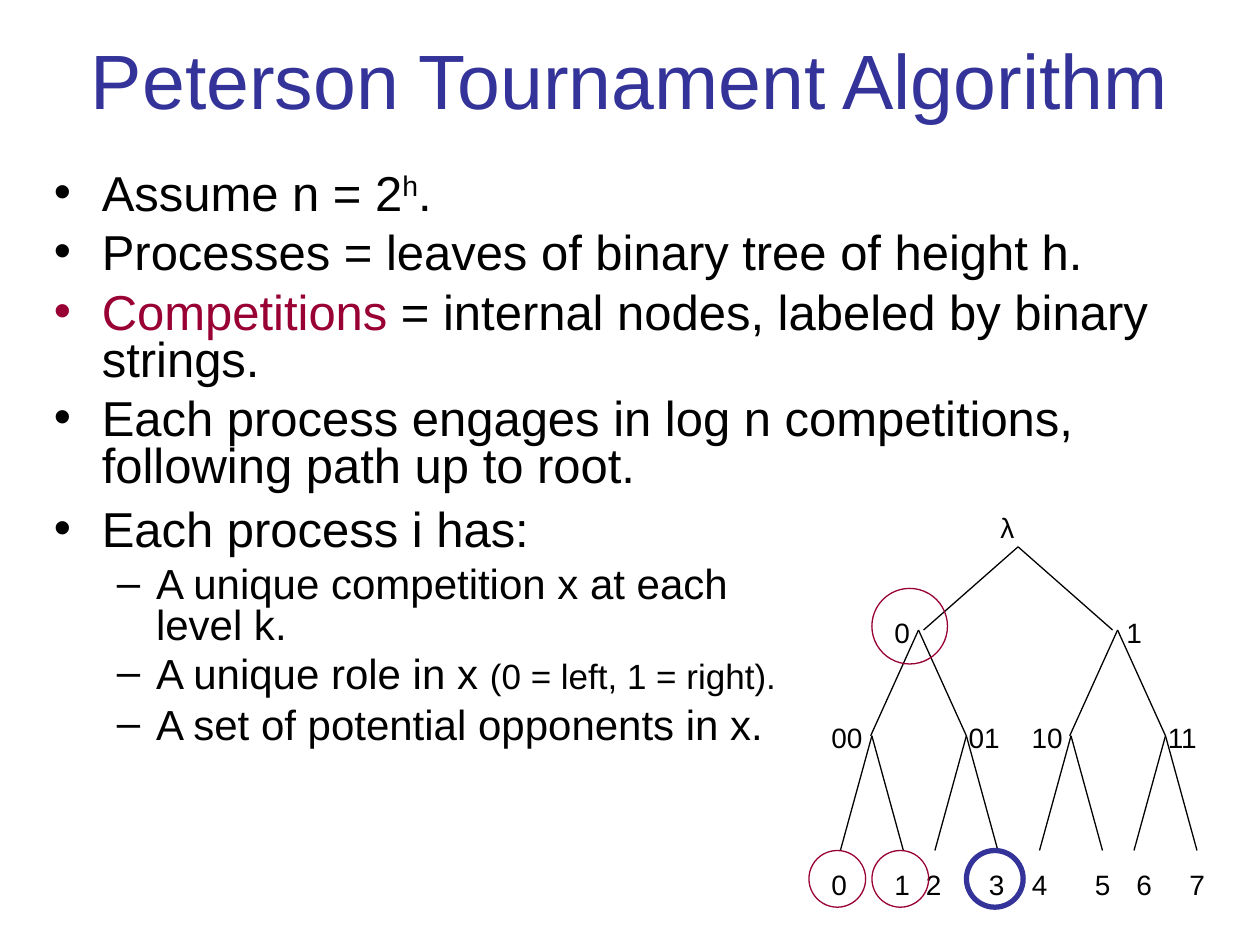
from lxml import etree
from pptx import Presentation
from pptx.dml.color import RGBColor
from pptx.enum.shapes import MSO_CONNECTOR, MSO_SHAPE
from pptx.enum.text import MSO_ANCHOR, MSO_AUTO_SIZE, PP_ALIGN
from pptx.oxml.ns import qn
from pptx.util import Inches, Pt

STRAIGHT = MSO_CONNECTOR.STRAIGHT
OVAL = MSO_SHAPE.OVAL
MIDDLE = MSO_ANCHOR.MIDDLE
CENTER = PP_ALIGN.CENTER
FIT_SHAPE = MSO_AUTO_SIZE.SHAPE_TO_FIT_TEXT

BLACK, BLUE, RED = "000000", "333399", "990033"


def color(hex_string):
    return RGBColor.from_string(hex_string)


def add_run(paragraph, text, size, hex_string=BLACK):
    run = paragraph.add_run()
    run.text = text
    run.font.size = Pt(size)
    run.font.name = "Arial"
    run.font.color.rgb = color(hex_string)
    return run


prs = Presentation()
prs.slide_width, prs.slide_height = Inches(10), Inches(7.5)
slide = prs.slides.add_slide(prs.slide_layouts[5])
shapes = slide.shapes

title = shapes.title
title.left, title.top = Inches(0.5), Inches(0)
title.width, title.height = Inches(9), Inches(1.25)
title.text_frame.vertical_anchor = MIDDLE
heading = title.text_frame.paragraphs[0]
heading.alignment = CENTER
add_run(heading, "Peterson Tournament Algorithm", 44, BLUE)

# Each bullet: level, space before, runs of (text, size, colour, superscript)
model_bullets = [
    (0, 0, [("Assume n = 2", 28, BLACK, False), ("h", 28, BLACK, True), (".", 28, BLACK, False)]),
    (0, 7, [("Processes = leaves of binary tree of height h.", 28, BLACK, False)]),
    (0, 7, [("Competitions ", 28, RED, False),
            ("= internal nodes, labeled by binary strings.", 28, BLACK, False)]),
    (0, 7, [("Each process engages in log n competitions, following path up to root.",
             28, BLACK, False)]),
]
process_bullets = [
    (0, 0, [("Each process i has:", 28, BLACK, False)]),
    (1, 6, [("A unique competition x at each level k.", 24, BLACK, False)]),
    (1, 5, [("A unique role in x ", 24, BLACK, False),
            ("(0 = left, 1 = right).", 20, BLACK, False)]),
    (1, 6, [("A set of potential opponents in x.", 24, BLACK, False)]),
]
bullet_styles = [("•", 0.38, -0.38), ("–", 0.81, -0.31)]

for left, top, width, height, bullets in [
    (0.33, 1.33, 9.42, 2.75, model_bullets),
    (0.33, 4, 6.08, 3.17, process_bullets),
]:
    frame = shapes.add_textbox(Inches(left), Inches(top), Inches(width), Inches(height)).text_frame
    frame.word_wrap = True
    for index, (level, space_before, runs) in enumerate(bullets):
        paragraph = frame.add_paragraph() if index else frame.paragraphs[0]
        paragraph.level = level
        paragraph.line_spacing = 0.8
        paragraph.space_before = Pt(space_before)
        mark, margin, indent = bullet_styles[level]
        properties = paragraph._p.get_or_add_pPr()
        properties.set("marL", str(Inches(margin)))
        properties.set("indent", str(Inches(indent)))
        mark_color = etree.SubElement(properties, qn("a:buClr"))
        etree.SubElement(mark_color, qn("a:srgbClr"), val=runs[0][2])
        etree.SubElement(properties, qn("a:buFont"), typeface="Arial")
        etree.SubElement(properties, qn("a:buChar"), char=mark)
        for text, size, hex_string, superscript in runs:
            run = add_run(paragraph, text, size, hex_string)
            if superscript:
                run._r.get_or_add_rPr().set("baseline", "30000")

# Each tree level: parent centres, parent y, child y, half the spread of the children
tree_levels = [
    ([6.92, 7.67, 8.5, 9.25], 5.84, 6.75, 0.25),
    ([7.29, 8.87], 5, 5.84, 0.38),
    ([8.08], 4.34, 5, 0.75),
]
for parents, parent_y, child_y, spread in tree_levels:
    for parent_x in parents:
        for child_x in (parent_x - spread, parent_x + spread):
            branch = shapes.add_connector(
                STRAIGHT, Inches(child_x), Inches(child_y), Inches(parent_x), Inches(parent_y))
            branch.line.color.rgb = color(BLACK)
            branch.line.width = Pt(0.75)
            etree.SubElement(branch._element.spPr, qn("a:effectLst"))

label_rows = [
    (4, 0.32, [("λ", 7.84)]),
    (4.84, 0.32, [("0", 7), ("1", 8.84)]),
    (5.67, 0.46, [("00", 6.5), ("01", 7.59), ("10", 8.09), ("11", 9.17)]),
    (6.84, 0.32, [("0", 6.5), ("1", 7), ("2", 7.25), ("3", 7.75),
                  ("4", 8.09), ("5", 8.59), ("6", 8.92), ("7", 9.34)]),
]
for top, width, labels in label_rows:
    for text, left in labels:
        frame = shapes.add_textbox(Inches(left), Inches(top), Inches(width), Inches(0.37)).text_frame
        frame.word_wrap = False
        frame.auto_size = FIT_SHAPE
        add_run(frame.paragraphs[0], text, 16)

for left, top, diameter, hex_string, weight in [
    (6.92, 4.67, 0.6, RED, 0.75),
    (6.92, 6.75, 0.45, RED, 0.75),
    (6.42, 6.75, 0.45, RED, 0.75),
    (7.67, 6.75, 0.45, BLUE, 3),
]:
    ring = shapes.add_shape(OVAL, Inches(left), Inches(top), Inches(diameter), Inches(diameter))
    ring.shadow.inherit = False
    ring.fill.background()
    ring.line.color.rgb = color(hex_string)
    ring.line.width = Pt(weight)

prs.save("out.pptx")
